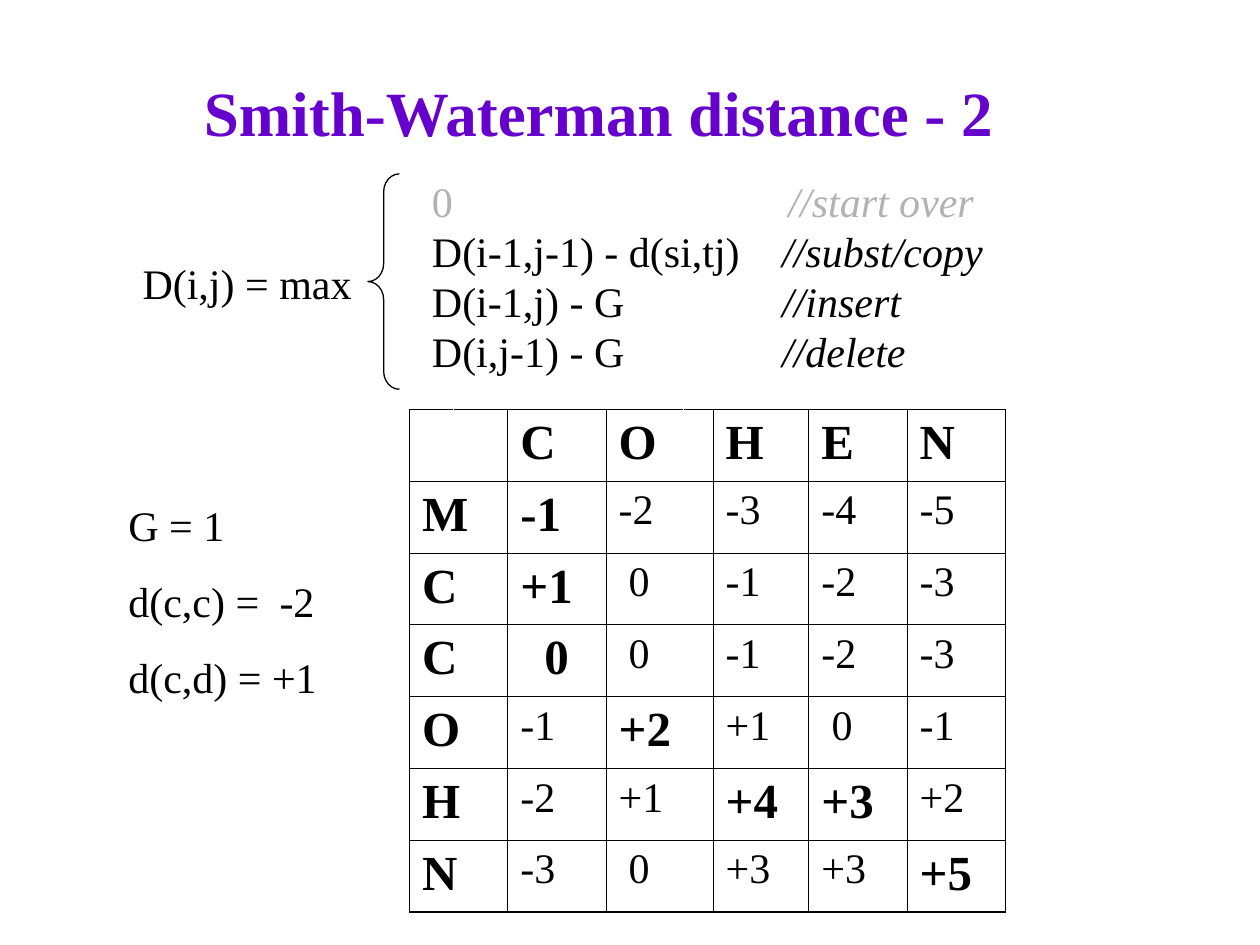
from dataclasses import dataclass

from lxml import etree
from pptx import Presentation
from pptx import util as u
from pptx.dml.color import RGBColor
from pptx.enum import shapes, text
from pptx.oxml import ns


@dataclass(frozen=True)
class Theme:
    font: str = "Times New Roman"
    title: str = "6600CC"
    ink: str = "000000"
    muted: str = "B2B2B2"
    seam: str = "FFFFFF"
    title_size: int = 36
    strong_size: int = 28
    body_size: int = 24
    line_pitch: float = 28.5
    thin: float = 0.45
    thick: float = 1.08


THEME = Theme()

RECURRENCE = [
    ("0", "//start over", THEME.muted, 2.83),
    ("D(i-1,j-1) - d(si,tj)", "//subst/copy", THEME.ink, 2.78),
    ("D(i-1,j) - G", "//insert", THEME.ink, 2.78),
    ("D(i,j-1) - G", "//delete", THEME.ink, 2.78),
]
PARAMETERS = ["G = 1", "d(c,c) =\t-2", "d(c,d) = +1"]

SCORES = [
    ["", "C", "O", "H", "E", "N"],
    ["M", "-1", "-2", "-3", "-4", "-5"],
    ["C", "+1", "0", "-1", "-2", "-3"],
    ["C", "0", "0", "-1", "-2", "-3"],
    ["O", "-1", "+2", "+1", "0", "-1"],
    ["H", "-2", "+1", "+4", "+3", "+2"],
    ["N", "-3", "0", "+3", "+3", "+5"],
]
BEST_PATH = {(1, 1), (2, 1), (3, 1), (4, 2), (5, 3), (5, 4), (6, 5)}
COLUMN_WIDTHS = [0.35, 0.43, 0.78, 0.61, 0.24, 0.76, 0.78, 0.78]
SCORE_COLUMNS = [0, 2, 3, 5, 6, 7]
# Column that is split in two, and the rows in which it stays split
SPLIT_ROWS = {0: {0}, 3: {0, 1}}
ROW_HEIGHT = 0.57


def add_span(para, words, *, size=THEME.body_size, color=THEME.ink, bold=False, italic=False):
    span = para.add_run()
    span.text = words
    font = span.font
    font.name, font.size = THEME.font, u.Pt(size)
    font.bold, font.italic = bold, italic
    font.color.rgb = RGBColor.from_string(color)


def add_tab_stop(para, position):
    stops = etree.SubElement(para._p.get_or_add_pPr(), ns.qn("a:tabLst"))
    etree.SubElement(stops, ns.qn("a:tab"), pos=str(u.Inches(position)), algn="l")


def add_box(page, left, top, width, height, wrap=True):
    box = page.shapes.add_textbox(*map(u.Inches, (left, top, width, height)))
    box.text_frame.word_wrap = wrap
    return box.text_frame


def next_para(frame, index, space_before=0):
    para = frame.add_paragraph() if index else frame.paragraphs[0]
    para.line_spacing = u.Pt(THEME.line_pitch)
    if index and space_before:
        para.space_before = u.Pt(space_before)
    return para


def add_title(page, words):
    title = page.shapes.title
    title.left, title.top, title.width, title.height = map(u.Inches, (0.5, 0.42, 8.5, 0.92))
    title.text_frame.vertical_anchor = text.MSO_ANCHOR.MIDDLE
    para = title.text_frame.paragraphs[0]
    para.alignment = text.PP_ALIGN.CENTER
    add_span(para, words, size=THEME.title_size, color=THEME.title, bold=True)


def add_brace(page):
    brace = page.shapes.add_shape(
        shapes.MSO_SHAPE.LEFT_BRACE, *map(u.Inches, (2.92, 1.38, 0.25, 1.71)))
    brace.adjustments[0] = 0.57
    brace.shadow.inherit = False
    brace.fill.background()
    brace.line.color.rgb = RGBColor.from_string(THEME.ink)
    brace.line.width = u.Pt(0.75)


def add_recurrence(page):
    para = next_para(add_box(page, 1.03, 2, 1.86, 0.5, wrap=False), 0)
    para.alignment = text.PP_ALIGN.RIGHT
    add_span(para, "D(i,j) = max")

    cases = add_box(page, 3.33, 1.35, 4.7, 1.7)
    for index, (formula, comment, color, stop) in enumerate(RECURRENCE):
        para = next_para(cases, index)
        add_tab_stop(para, stop)
        add_span(para, formula + "\t", color=color)
        add_span(para, comment, color=color, italic=True)


def add_parameters(page):
    frame = add_box(page, 0.92, 3.92, 1.92, 1.72)
    for index, words in enumerate(PARAMETERS):
        para = next_para(frame, index, space_before=15)
        if "\t" in words:
            add_tab_stop(para, 1.2)
        add_span(para, words)


def set_borders(cell, **sides):
    properties = cell._tc.get_or_add_tcPr()
    for index, side in enumerate("LRTB"):
        color, width = sides[side]
        line = etree.Element(ns.qn(f"a:ln{side}"), w=str(u.Pt(width)))
        fill = etree.SubElement(line, ns.qn("a:solidFill"))
        etree.SubElement(fill, ns.qn("a:srgbClr"), val=color)
        properties.insert(index, line)


def style_cell(cell, row, column, last_row, last_column):
    thin, thick = (THEME.ink, THEME.thin), (THEME.ink, THEME.thick)
    seam = (THEME.seam, THEME.thin)
    cell.fill.background()
    left = thin if column else thick
    right = thick if column == last_column else thin
    if row in SPLIT_ROWS.get(column, ()):
        right = seam
    if row in SPLIT_ROWS.get(column - 1, ()):
        left = seam
    set_borders(cell, L=left, R=right, T=thin, B=thick if row == last_row else thin)


def add_score_table(page):
    rows, columns = len(SCORES), len(COLUMN_WIDTHS)
    frame = page.shapes.add_table(
        rows, columns, u.Inches(3.25), u.Inches(3.25),
        u.Inches(sum(COLUMN_WIDTHS)), u.Inches(rows * ROW_HEIGHT))
    table = frame.table
    table.first_row = table.horz_banding = False
    for column, width in zip(table.columns, COLUMN_WIDTHS):
        column.width = u.Inches(width)

    for row in range(rows):
        table.rows[row].height = u.Inches(ROW_HEIGHT)
        for column in range(columns):
            style_cell(table.cell(row, column), row, column, rows - 1, columns - 1)
        for column, split in SPLIT_ROWS.items():
            if row not in split:
                table.cell(row, column).merge(table.cell(row, column + 1))

    # Headings and the best path are large and bold
    for row, scores in enumerate(SCORES):
        for index, score in enumerate(scores):
            if not score:
                continue
            cell = table.cell(row, SCORE_COLUMNS[index])
            strong = row == 0 or index == 0 or (row, index) in BEST_PATH
            if score == "0":
                cell.margin_left = u.Inches(0.29 if strong else 0.18)
            add_span(cell.text_frame.paragraphs[0], score, bold=strong,
                     size=THEME.strong_size if strong else THEME.body_size)


def main():
    deck = Presentation()
    deck.slide_width, deck.slide_height = u.Inches(10), u.Inches(7.5)
    page = deck.slides.add_slide(deck.slide_layouts.get_by_name("Title Only"))

    add_title(page, "Smith-Waterman distance - 2")
    # Recurrence with its brace
    add_brace(page)
    add_recurrence(page)
    # Gap and substitution costs, then the scores
    add_parameters(page)
    add_score_table(page)

    deck.save("out.pptx")


if __name__ == "__main__":
    main()
